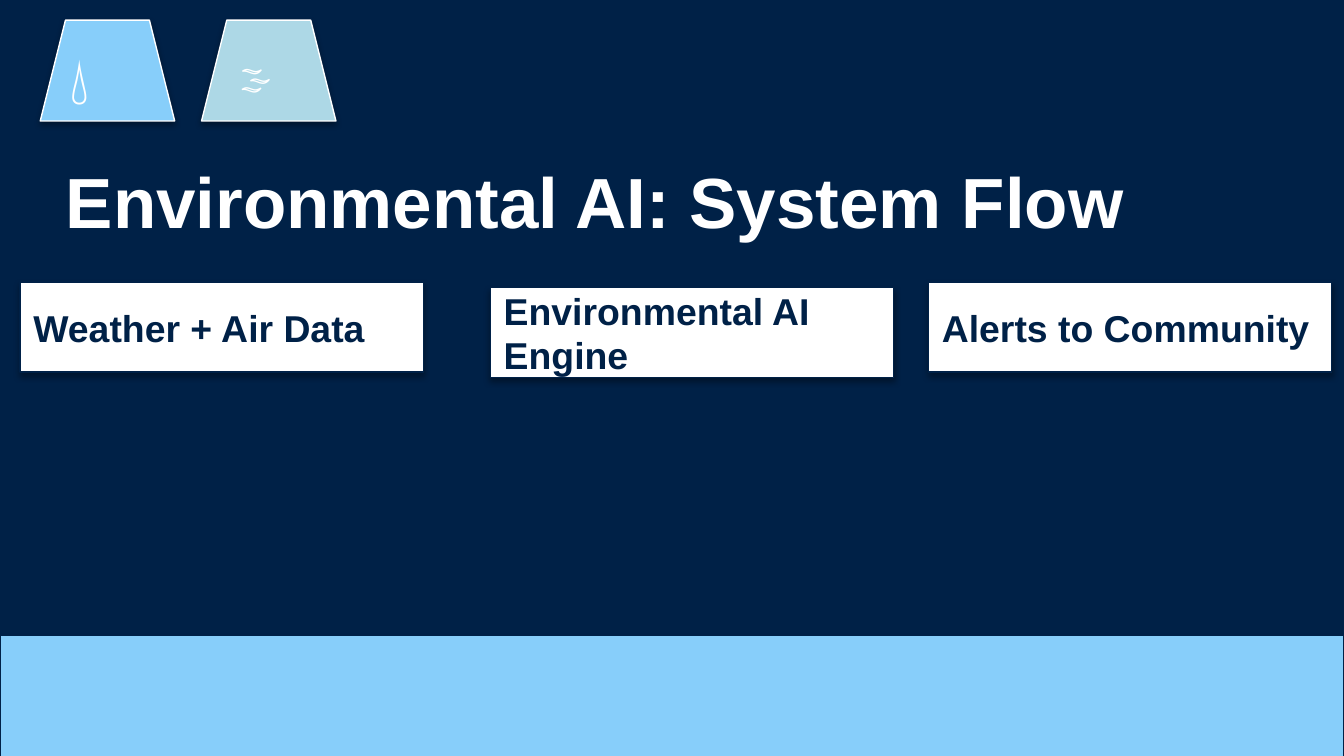
import pptx
import pptx.util
import pptx.dml.color
import pptx.enum.shapes
import pptx.enum.text

Inches = pptx.util.Inches
Pt = pptx.util.Pt
RGBColor = pptx.dml.color.RGBColor
MSO_SHAPE = pptx.enum.shapes.MSO_SHAPE
MSO_ANCHOR = pptx.enum.text.MSO_ANCHOR
PP_ALIGN = pptx.enum.text.PP_ALIGN

NAVY = RGBColor(0x00, 0x21, 0x47)
WHITE = RGBColor(0xFF, 0xFF, 0xFF)
SKY = RGBColor(0x87, 0xCE, 0xFA)
MIST = RGBColor(0xAD, 0xD8, 0xE6)

HEADING = "Environmental AI: System Flow"
STAGES = [
    ("Weather + Air Data", 0.15, 2.1),
    ("Environmental AI Engine", 3.65, 2.14),
    ("Alerts to Community", 6.91, 2.1),
]
BADGES = [("💧", SKY), ("🌫", MIST)]

STAGE_SIZE = (3, 0.67)
BADGE_SIZE = (1, 0.75)
BADGE_LEFT, BADGE_TOP, BADGE_STEP = 0.3, 0.15, 1.2
SLIDE_WIDTH = 10
SLIDE_HEIGHT = SLIDE_WIDTH * 9 / 16
BAND_TOP, BAND_HEIGHT = 4.73, 0.9


def write(frame, wording, size, color, anchor):
    frame.text = wording
    frame.word_wrap = True
    frame.vertical_anchor = anchor
    paragraph = frame.paragraphs[0]
    paragraph.alignment = PP_ALIGN.LEFT
    font = paragraph.runs[0].font
    font.name = "Arial"
    font.size = Pt(size)
    font.bold = True
    font.color.rgb = color


def add_block(slide, kind, left, top, size, fill, line):
    block = slide.shapes.add_shape(
        kind, Inches(left), Inches(top), Inches(size[0]), Inches(size[1]))
    block.fill.solid()
    block.fill.fore_color.rgb = fill
    block.line.color.rgb = line
    block.line.width = Pt(0.75)
    return block


def main():
    deck = pptx.Presentation()
    deck.slide_width = Inches(SLIDE_WIDTH)
    deck.slide_height = Inches(SLIDE_HEIGHT)
    slide = deck.slides.add_slide(deck.slide_layouts[5])
    slide.background.fill.solid()
    slide.background.fill.fore_color.rgb = NAVY

    heading = slide.shapes.title
    heading.left, heading.top = Inches(0.39), Inches(1.12)
    heading.width, heading.height = Inches(9), Inches(0.74)
    write(heading.text_frame, HEADING, 38, WHITE, MSO_ANCHOR.TOP)
    heading.text_frame.auto_size = pptx.enum.text.MSO_AUTO_SIZE.SHAPE_TO_FIT_TEXT

    for wording, left, top in STAGES:
        stage = add_block(slide, MSO_SHAPE.RECTANGLE, left, top, STAGE_SIZE, WHITE, NAVY)
        write(stage.text_frame, wording, 20, NAVY, MSO_ANCHOR.MIDDLE)

    add_block(slide, MSO_SHAPE.RECTANGLE, 0, BAND_TOP,
              (SLIDE_WIDTH, BAND_HEIGHT), SKY, NAVY)

    for index, (symbol, fill) in enumerate(BADGES):
        badge = add_block(slide, MSO_SHAPE.TRAPEZOID, BADGE_LEFT + index * BADGE_STEP,
                          BADGE_TOP, BADGE_SIZE, fill, WHITE)
        write(badge.text_frame, symbol, 26, WHITE, MSO_ANCHOR.MIDDLE)

    deck.save("out.pptx")


if __name__ == "__main__":
    main()
